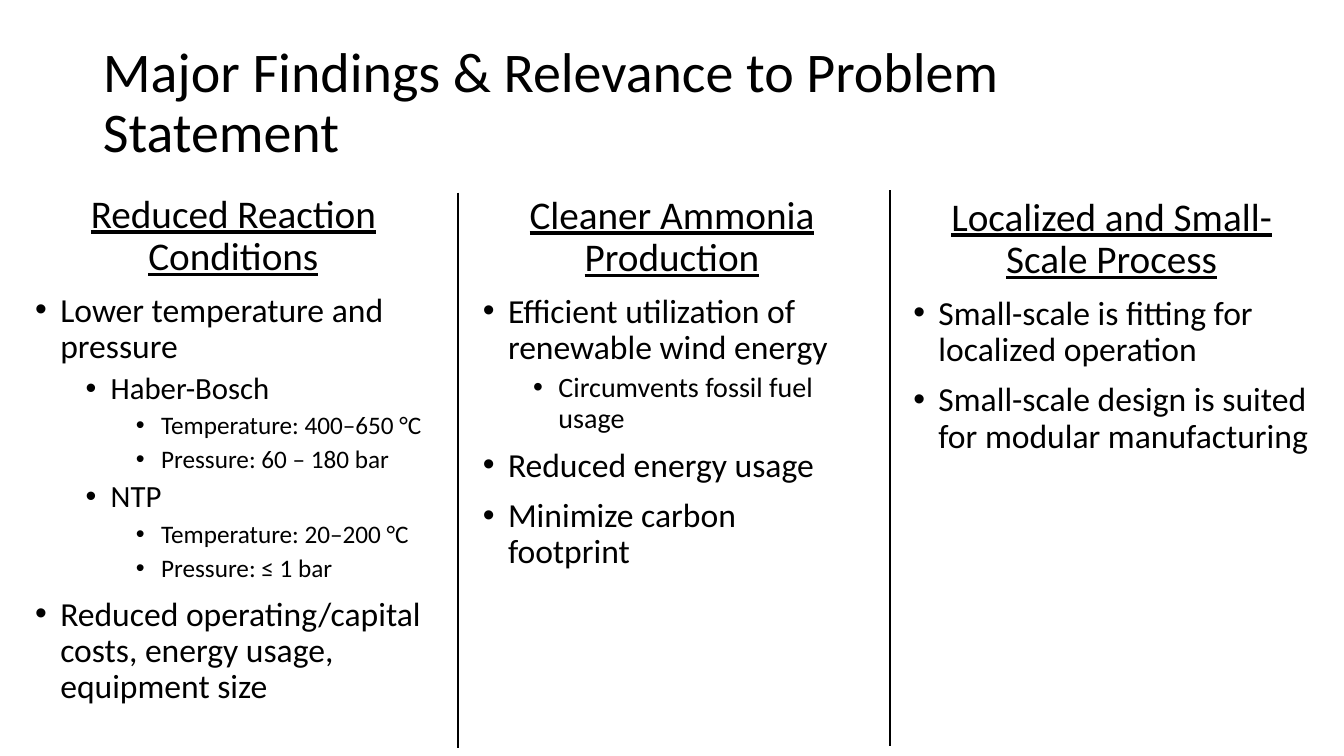
from lxml import etree
from pptx import Presentation
from pptx import util as u
from pptx.dml.color import RGBColor
from pptx.enum import shapes, text
from pptx.oxml import ns

BLACK = RGBColor(0, 0, 0)
WHITE = RGBColor(255, 255, 255)


class SlideBuilder:
    font = {"name": "Calibri"}
    line_spacing = 0.9
    indent = 0.25
    level_step = 0.5

    def __init__(self, presentation):
        self.slide = presentation.slides.add_slide(presentation.slide_layouts[5])
        self.slide.background.fill.solid()
        self.slide.background.fill.fore_color.rgb = WHITE

    def apply(self, target, values):
        for name, value in values.items():
            setattr(target, name, value)

    def place(self, shape, left, top, width, height):
        names = ("left", "top", "width", "height")
        lengths = map(u.Inches, (left, top, width, height))
        self.apply(shape, dict(zip(names, lengths)))

    def fill_paragraph(self, paragraph, wording, size, **values):
        settings = {"line_spacing": self.line_spacing, "alignment": text.PP_ALIGN.LEFT}
        self.apply(paragraph, settings | values)
        run = paragraph.add_run()
        run.text = wording
        self.apply(run.font, self.font | {"size": u.Pt(size)})
        run.font.color.rgb = BLACK
        return run

    def title(self, wording, *box):
        shape = self.slide.shapes.title
        self.place(shape, *box)
        self.apply(shape.text_frame, {
            "word_wrap": True,
            "auto_size": text.MSO_AUTO_SIZE.NONE,
            "vertical_anchor": text.MSO_ANCHOR.MIDDLE,
            "margin_right": u.Inches(0.2),
        })
        self.fill_paragraph(shape.text_frame.paragraphs[0], wording, 40)

    def bullet(self, frame, level, size, wording):
        paragraph = frame.add_paragraph()
        space = u.Pt(5 if level else 10)
        self.fill_paragraph(paragraph, wording, size, level=level, space_before=space)
        properties = paragraph._p.get_or_add_pPr()
        margin = self.indent + self.level_step * level
        properties.set("marL", str(u.Inches(margin)))
        properties.set("indent", str(-u.Inches(self.indent)))
        font = etree.SubElement(properties, ns.qn("a:buFont"))
        font.set("typeface", "Arial")
        character = etree.SubElement(properties, ns.qn("a:buChar"))
        character.set("char", "•")

    def column(self, heading, bullets, *box):
        shape = self.slide.shapes.add_textbox(*map(u.Inches, box))
        frame = shape.text_frame
        frame.word_wrap = True
        run = self.fill_paragraph(frame.paragraphs[0], heading, 28,
                                  alignment=text.PP_ALIGN.CENTER, space_before=u.Pt(10))
        run.font.underline = True
        for level, size, wording in bullets:
            self.bullet(frame, level, size, wording)

    def divider(self, left, top, length):
        ends = map(u.Inches, (left, top, left, top + length))
        line = self.slide.shapes.add_connector(shapes.MSO_CONNECTOR.STRAIGHT, *ends)
        line.line.color.rgb = BLACK
        line.line.width = u.Pt(1.5)
        etree.SubElement(line._element.spPr, ns.qn("a:effectLst"))


REDUCED_CONDITIONS = [
    (0, 24, "Lower temperature and pressure"),
    (1, 22, "Haber-Bosch"),
    (2, 18, "Temperature: 400–650 °C"),
    (2, 18, "Pressure: 60 – 180 bar"),
    (1, 22, "NTP"),
    (2, 18, "Temperature: 20–200 °C"),
    (2, 18, "Pressure: ≤ 1 bar"),
    (0, 24, "Reduced operating/capital costs, energy usage, equipment size"),
]
CLEANER_PRODUCTION = [
    (0, 24, "Efficient utilization of renewable wind energy"),
    (1, 20, "Circumvents fossil fuel usage"),
    (0, 24, "Reduced energy usage"),
    (0, 24, "Minimize carbon footprint"),
]
LOCALIZED_PROCESS = [
    (0, 24, "Small-scale is fitting for localized operation"),
    (0, 24, "Small-scale design is suited for modular manufacturing"),
]


def main():
    presentation = Presentation()
    presentation.slide_width = u.Inches(13.33)
    presentation.slide_height = u.Inches(7.5)
    builder = SlideBuilder(presentation)
    builder.title("Major Findings & Relevance to Problem Statement", 0.92, 0.31, 11.5, 1.45)
    builder.column("Reduced Reaction Conditions", REDUCED_CONDITIONS, 0.25, 1.88, 4.13, 5.4)
    builder.column("Cleaner Ammonia Production", CLEANER_PRODUCTION, 4.69, 1.89, 3.95, 5.4)
    builder.column("Localized and Small-Scale Process", LOCALIZED_PROCESS, 8.96, 1.91, 4.13, 5.4)
    for left, top in ((4.54, 1.91), (8.83, 1.89)):
        builder.divider(left, top, 5.51)
    presentation.save("out.pptx")


if __name__ == "__main__":
    main()
